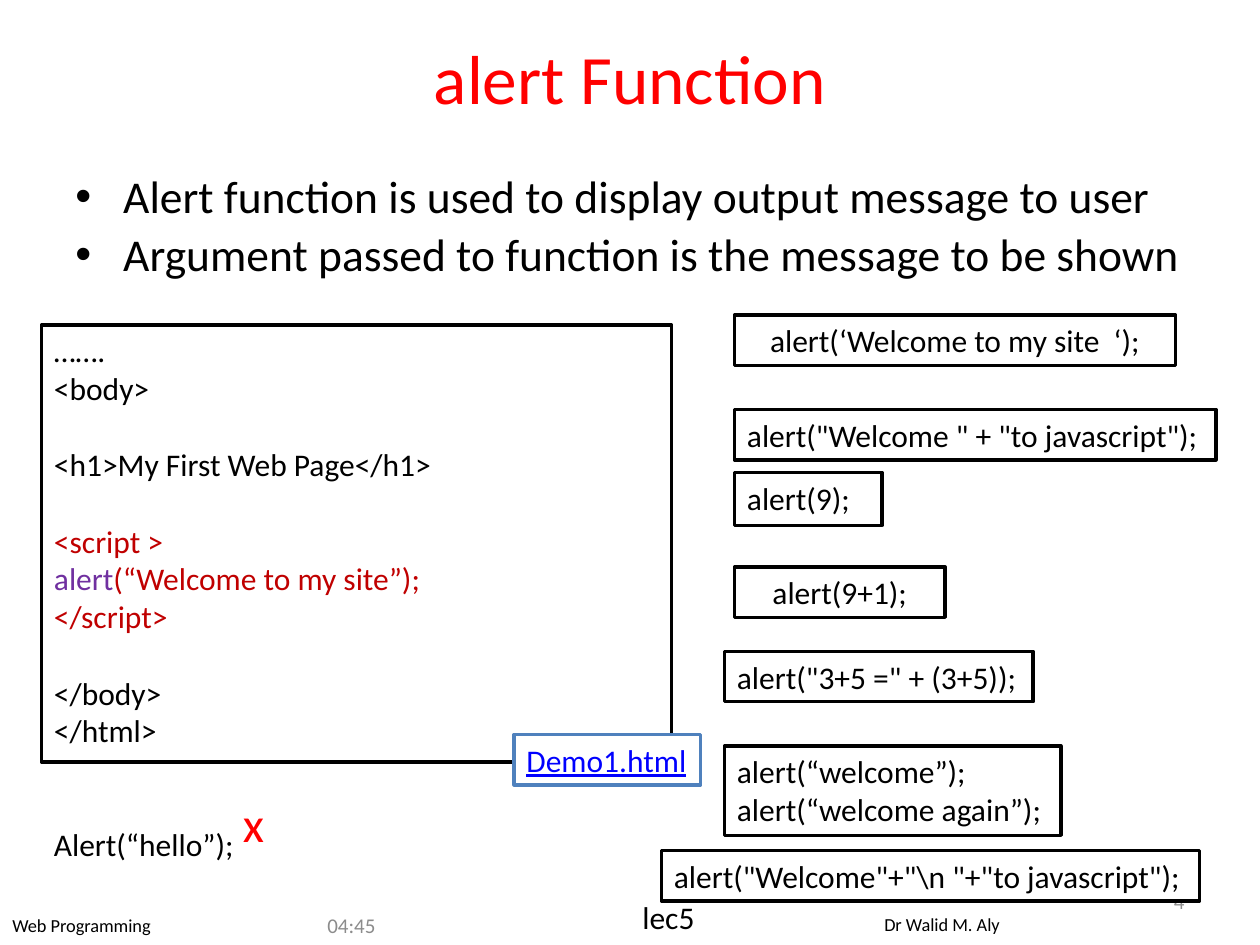
from lxml import etree
from pptx import Presentation
from pptx.dml.color import RGBColor
from pptx.enum.shapes import MSO_SHAPE as SHAPE
from pptx.enum.text import MSO_ANCHOR as ANCHOR, PP_ALIGN as ALIGN
from pptx.oxml.ns import qn
from pptx.util import Inches, Pt

BLACK = RGBColor(0x00, 0x00, 0x00)
WHITE = RGBColor(0xFF, 0xFF, 0xFF)
RED = RGBColor(0xFF, 0x00, 0x00)
DARK_RED = RGBColor(0xC0, 0x00, 0x00)
PURPLE = RGBColor(0x70, 0x30, 0xA0)
GRAY = RGBColor(0x8C, 0x8C, 0x8C)
LINK_BLUE = RGBColor(0x00, 0x00, 0xFF)
BORDER_BLUE = RGBColor(0x4F, 0x81, 0xBD)


def add_text(p, text, size=18, color=BLACK, underline=None, font="Calibri"):
    r = p.add_run()
    r.text = text
    r.font.name = font
    r.font.size = Pt(size)
    r.font.color.rgb = color
    r.font.underline = underline


class SlideBuilder:
    line_width = Pt(2)

    def __init__(self, slide):
        self.s = slide

    def fill_frame(self, sp, lines, align=ALIGN.LEFT, anchor=ANCHOR.TOP,
                   wrap=True, **fmt):
        tf = sp.text_frame
        tf.word_wrap = wrap
        tf.vertical_anchor = anchor
        for i, line in enumerate(lines):
            p = tf.paragraphs[0] if i == 0 else tf.add_paragraph()
            p.alignment = align
            add_text(p, line, **fmt)

    def label(self, box, text, **fmt):
        sp = self.s.shapes.add_textbox(*map(Inches, box))
        self.fill_frame(sp, [text], **fmt)

    def box(self, box, lines, border=BLACK, **fmt):
        sp = self.s.shapes.add_shape(SHAPE.RECTANGLE, *map(Inches, box))
        sp.shadow.inherit = False
        sp.fill.solid()
        sp.fill.fore_color.rgb = WHITE
        sp.line.color.rgb = border
        sp.line.width = self.line_width
        self.fill_frame(sp, lines, **fmt)
        return sp

    def code(self, box, blocks, line_height=22):
        sp = self.box(box, [])
        tf = sp.text_frame
        p = tf.paragraphs[0]
        for b, block in enumerate(blocks):
            for i, line in enumerate(block):
                if b or i:
                    p = tf.add_paragraph()
                if b and i == 0:
                    p.space_before = Pt(line_height)
                p.alignment = ALIGN.LEFT
                for text, color in line:
                    add_text(p, text, color=color)

    def bullets(self, box, lines, size):
        sp = self.s.shapes.add_textbox(*map(Inches, box))
        self.fill_frame(sp, lines, size=size)
        for i, p in enumerate(sp.text_frame.paragraphs):
            p.line_spacing = 0.9
            if i:
                p.space_before = Pt(size * 0.2)
            pPr = p._p.get_or_add_pPr()
            pPr.set("marL", str(Inches(0.38)))
            pPr.set("indent", str(Inches(-0.38)))
            etree.SubElement(pPr, qn("a:buFont")).set("typeface", "Arial")
            etree.SubElement(pPr, qn("a:buChar")).set("char", "•")


def main():
    prs = Presentation()
    prs.slide_width = Inches(10)
    prs.slide_height = Inches(7.5)
    b = SlideBuilder(prs.slides.add_slide(prs.slide_layouts[6]))

    b.label((0, 7.21, 2.4, 0.29), "Web Programming", size=10.5)
    b.label((6.92, 7.2, 1.67, 0.29), "Dr Walid M. Aly", size=10.5)
    b.label((5, 7.08, 0.75, 0.42), "lec5")
    b.label((2.5, 7.21, 0.67, 0.26), "04:45", size=12, color=GRAY,
            anchor=ANCHOR.MIDDLE)
    b.label((0.5, 0.3, 9, 0.62), "alert Function", size=39.6, color=RED,
            align=ALIGN.CENTER, anchor=ANCHOR.MIDDLE)
    b.bullets((0.5, 1.33, 9, 1), [
        "Alert function is used to display output message to user",
        "Argument passed to function is the message to be shown",
    ], size=26)
    b.label((7.17, 6.95, 2.33, 0.4), "4", size=12, color=GRAY,
            align=ALIGN.RIGHT, anchor=ANCHOR.MIDDLE)

    b.code((0.33, 2.58, 5, 3.47), [
        [[("…….", BLACK)], [("<body>", BLACK)]],
        [[("<h1>My First Web Page</h1>", BLACK)]],
        [[("<script >", DARK_RED)],
         [("alert", PURPLE), ("(“Welcome to my site”);", DARK_RED)],
         [("</script>", DARK_RED)]],
        [[("</body>", BLACK)], [("</html>", BLACK)]],
    ])
    b.box((4.08, 5.83, 1.48, 0.4), ["Demo1.html"], border=BORDER_BLUE,
          color=LINK_BLUE, underline=True, wrap=False)

    for box, lines, align, wrap in [
        ((5.83, 2.5, 3.5, 0.4), ["alert(‘Welcome to my site  ‘);"], ALIGN.CENTER, True),
        ((5.83, 4.5, 1.67, 0.4), ["alert(9+1);"], ALIGN.CENTER, True),
        ((5.83, 3.75, 1.17, 0.42), ["alert(9);"], ALIGN.LEFT, True),
        ((5.75, 5.17, 2.45, 0.4), ['alert("3+5 =" + (3+5));'], ALIGN.LEFT, False),
        ((5.83, 3.25, 3.82, 0.4), ['alert("Welcome " + "to javascript");'], ALIGN.LEFT, False),
        ((5.75, 5.92, 2.67, 0.71), ["alert(“welcome”);", "alert(“welcome again”);"], ALIGN.LEFT, False),
        ((5.25, 6.75, 4.27, 0.4), ['alert("Welcome"+"\\n "+"to javascript");'], ALIGN.LEFT, False),
    ]:
        b.box(box, lines, align=align, wrap=wrap)

    b.label((0.33, 6.5, 2.5, 0.4), "Alert(“hello”);")
    b.label((1.83, 6.25, 0.33, 0.57), "x", size=28, color=RED)

    prs.save("out.pptx")


if __name__ == "__main__":
    main()
